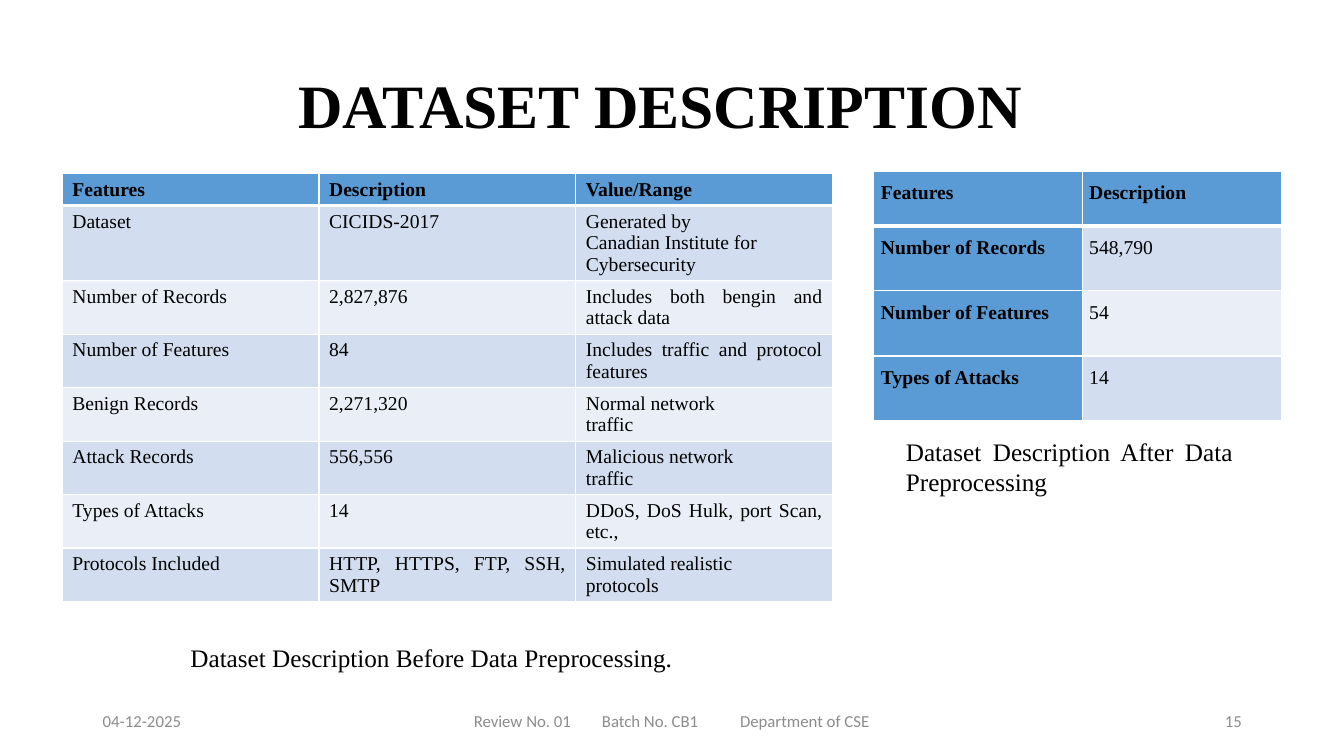
from pptx import Presentation
from pptx.dml.color import RGBColor
from pptx.enum.text import MSO_ANCHOR, MSO_AUTO_SIZE, PP_ALIGN
from pptx.util import Cm, Pt
from lxml.etree import SubElement
from pptx.oxml.ns import qn

THEME = {
    "black": "000000", "gray": "8C8C8C", "white": "FFFFFF",
    "blue": "5B9BD5", "bands": ("D2DEEF", "EAEFF7"),
    "title": {"name": "Times New Roman", "size": Pt(44), "bold": True},
    "label": {"name": "Times New Roman", "size": Pt(18), "bold": False},
    "head": {"name": "Times New Roman", "size": Pt(14), "bold": True},
    "cell": {"name": "Times New Roman", "size": Pt(14), "bold": False},
    "foot": {"name": "Calibri", "size": Pt(12), "bold": False},
}


def write(frame, text, font, color, **form):
    frame.text = text
    for para in frame.paragraphs:
        for key, value in form.items():
            setattr(para, key, value)
        for run in para.runs:
            for key, value in THEME[font].items():
                setattr(run.font, key, value)
            run.font.color.rgb = RGBColor.from_string(THEME[color])


def border(cell, row):
    props = cell._tc.get_or_add_tcPr()
    widths = {"L": 1, "R": 1, "T": 3 if row == 1 else 1, "B": 3 if row == 0 else 1}
    for side, width in widths.items():
        line = SubElement(props, qn(f"a:ln{side}"), w=str(Pt(width)))
        fill = SubElement(line, qn("a:solidFill"))
        SubElement(fill, qn("a:srgbClr"), val=THEME["white"])


deck = Presentation()
deck.slide_width, deck.slide_height = Cm(33.87), Cm(19.05)
slide = deck.slides.add_slide(deck.slide_layouts[5])

title = slide.shapes.title
place = {"left": Cm(7.26), "top": Cm(1.55), "width": Cm(19.33), "height": Cm(2.13)}
for key, value in place.items():
    setattr(title, key, value)
look = {"word_wrap": True, "auto_size": MSO_AUTO_SIZE.NONE, "vertical_anchor": MSO_ANCHOR.TOP}
for key, value in look.items():
    setattr(title.text_frame, key, value)
write(title.text_frame, "DATASET DESCRIPTION", "title", "black", alignment=PP_ALIGN.LEFT)

before = [
    ("Features", "Description", "Value/Range"),
    ("Dataset", "CICIDS-2017", "Generated by\nCanadian Institute for\nCybersecurity"),
    ("Number of Records", "2,827,876", "Includes both bengin and attack data"),
    ("Number of Features", "84", "Includes traffic and protocol features"),
    ("Benign Records", "2,271,320", "Normal network\ntraffic"),
    ("Attack Records", "556,556", "Malicious network\ntraffic"),
    ("Types of Attacks", "14", "DDoS, DoS Hulk, port Scan, etc.,"),
    ("Protocols Included", "HTTP, HTTPS, FTP, SSH, SMTP", "Simulated realistic\nprotocols"),
]
after = [
    ("Features", "Description"),
    ("Number of Records", "548,790"),
    ("Number of Features", "54"),
    ("Types of Attacks", "14"),
]
tight = {"margin_left": Cm(0.18), "margin_right": Cm(0.18), "margin_top": 0, "margin_bottom": 0}
loose = {"line_spacing": 1.5, "space_after": Pt(8)}
tables = [
    (before, 1.57, 4.38, [6.47] * 3, [0.64, 1.6] + [1.12] * 6, False, {}, {}),
    (after, 22.02, 4.32, [5.25, 5.03], [1.37] + [1.64] * 3, True, tight, loose),
]
for data, left, top, wides, highs, side, inset, form in tables:
    grid = slide.shapes.add_table(
        len(highs), len(wides), Cm(left), Cm(top), Cm(sum(wides)), Cm(sum(highs))
    ).table
    grid.first_col = side
    for col, wide in zip(grid.columns, wides):
        col.width = Cm(wide)
    for row, high in zip(grid.rows, highs):
        row.height = Cm(high)
    for r, texts in enumerate(data):
        for c, text in enumerate(texts):
            cell = grid.cell(r, c)
            head = r == 0 or (side and c == 0)
            for key, value in inset.items():
                setattr(cell, key, value)
            border(cell, r)
            cell.fill.solid()
            shade = THEME["blue"] if head else THEME["bands"][(r - 1) % 2]
            cell.fill.fore_color.rgb = RGBColor.from_string(shade)
            write(cell.text_frame, text, "head" if head else "cell", "black",
                  alignment=PP_ALIGN.JUSTIFY, **form)

labels = [
    ("Dataset Description Before Data Preprocessing.", 4.55, 16.05, 18.03, 1.02,
     "label", "black", PP_ALIGN.LEFT, MSO_ANCHOR.TOP, 0.25, []),
    ("Dataset Description After Data Preprocessing", 22.58, 10.87, 8.74, 1.8,
     "label", "black", PP_ALIGN.JUSTIFY, MSO_ANCHOR.TOP, 0.25, []),
    ("04-12-2025", 2.34, 17.65, 7.62, 1.02,
     "foot", "gray", PP_ALIGN.LEFT, MSO_ANCHOR.MIDDLE, 0.25, []),
    ("Review No. 01\tBatch No. CB1\tDepartment of CSE", 11.23, 17.65, 11.43, 1.02,
     "foot", "gray", PP_ALIGN.LEFT, MSO_ANCHOR.MIDDLE, 0.71, [3.23, 6.71]),
    ("15", 23.93, 17.65, 7.62, 1.02,
     "foot", "gray", PP_ALIGN.RIGHT, MSO_ANCHOR.MIDDLE, 0.25, []),
]
for text, left, top, wide, high, font, color, align, anchor, inset, stops in labels:
    frame = slide.shapes.add_textbox(Cm(left), Cm(top), Cm(wide), Cm(high)).text_frame
    look = {"word_wrap": True, "vertical_anchor": anchor, "margin_left": Cm(inset)}
    for key, value in look.items():
        setattr(frame, key, value)
    write(frame, text, font, color, alignment=align)
    if stops:
        tabs = SubElement(frame.paragraphs[0]._p.get_or_add_pPr(), qn("a:tabLst"))
        for stop in stops:
            SubElement(tabs, qn("a:tab"), pos=str(Cm(stop)), algn="l")

deck.save("out.pptx")
